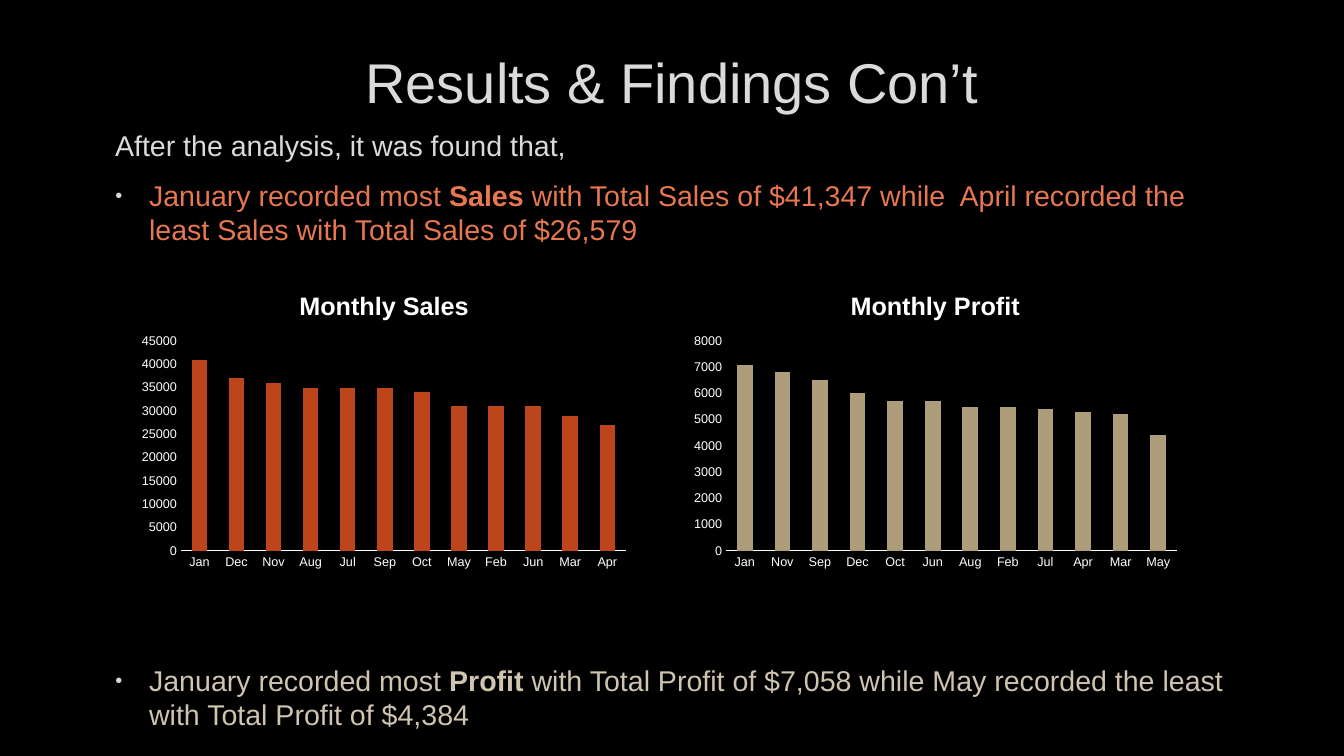
from lxml import etree
from pptx import Presentation
from pptx.chart.data import CategoryChartData
from pptx.dml.color import RGBColor
from pptx.enum import chart as ch, text
from pptx.oxml import ns
from pptx.util import Pt

BLACK = RGBColor(0x00, 0x00, 0x00)
WHITE = RGBColor(0xFF, 0xFF, 0xFF)
LIGHT_GREY = RGBColor(0xDA, 0xDA, 0xDA)
ORANGE = RGBColor(0xE6, 0x77, 0x50)
RUST = RGBColor(0xBC, 0x45, 0x1B)
SAND = RGBColor(0xCE, 0xC4, 0xB0)
TAN = RGBColor(0xAD, 0x9D, 0x7B)


def add_xml(parent, tag, **attributes):
    return etree.SubElement(parent, ns.qn(tag), attributes)


class SlideBuilder:
    font_name = "Arial"
    body_size = 20.4
    indent = 24

    def __init__(self, slide):
        self.slide = slide
        slide.background.fill.solid()
        slide.background.fill.fore_color.rgb = BLACK

    def style(self, font, size, color, bold=False):
        font.name, font.size, font.bold = self.font_name, Pt(size), bold
        font.color.rgb = color

    def place(self, shape, left, top, width, height, anchor):
        shape.left, shape.top = Pt(left), Pt(top)
        shape.width, shape.height = Pt(width), Pt(height)
        frame = shape.text_frame
        frame.auto_size = text.MSO_AUTO_SIZE.NONE
        frame.word_wrap = True
        frame.vertical_anchor = anchor
        return frame

    def title(self, wording, *box):
        frame = self.place(self.slide.shapes.title, *box, text.MSO_ANCHOR.MIDDLE)
        paragraph = frame.paragraphs[0]
        paragraph.text = wording
        paragraph.alignment = text.PP_ALIGN.CENTER
        self.style(paragraph.font, 40, LIGHT_GREY)

    def body(self, *box):
        return self.place(self.slide.placeholders[1], *box, text.MSO_ANCHOR.TOP)

    def format_paragraph(self, paragraph, space_before, left, hanging):
        paragraph.alignment = text.PP_ALIGN.LEFT
        paragraph.line_spacing = Pt(24.3)
        paragraph.space_before, paragraph.space_after = Pt(space_before), Pt(6)
        properties = paragraph._p.get_or_add_pPr()
        properties.set("marL", str(Pt(left)))
        properties.set("indent", str(-Pt(hanging)))
        return properties

    def intro(self, paragraph, wording):
        properties = self.format_paragraph(paragraph, 0, 3, 0)
        add_xml(properties, "a:buNone")
        paragraph.add_run().text = wording
        self.style(paragraph.font, self.body_size, LIGHT_GREY)

    def bullet(self, paragraph, parts, color, space_before):
        """Write a bullet whose second part is bold."""
        properties = self.format_paragraph(paragraph, space_before, 27.3, self.indent)
        bullet_color = add_xml(properties, "a:buClr")
        add_xml(bullet_color, "a:srgbClr", val=str(LIGHT_GREY))
        add_xml(properties, "a:buSzPct", val="70000")
        add_xml(properties, "a:buFont", typeface=self.font_name)
        add_xml(properties, "a:buChar", char="•")
        for index, wording in enumerate(parts):
            run = paragraph.add_run()
            run.text = wording
            self.style(run.font, self.body_size, color, bold=index == 1)

    def layout(self, element, **fractions):
        """Fix a chart part at fractions of the chart's size."""
        for old in element.findall(ns.qn("c:layout")):
            element.remove(old)
        layout = etree.Element(ns.qn("c:layout"))
        manual = add_xml(layout, "c:manualLayout")
        if "w" in fractions:
            add_xml(manual, "c:layoutTarget", val="inner")
        for side in "xy":
            add_xml(manual, f"c:{side}Mode", val="edge")
        for side, fraction in fractions.items():
            add_xml(manual, f"c:{side}", val=str(fraction))
        return layout

    def column_chart(self, heading, values, color, left, overlap, top_value, step, plot_x, plot_w):
        data = CategoryChartData()
        data.categories = list(values)
        data.add_series("Series 1", list(values.values()))
        chart = self.slide.shapes.add_chart(
            ch.XL_CHART_TYPE.COLUMN_CLUSTERED, Pt(left), Pt(195), Pt(360), Pt(216), data).chart
        self.style(chart.font, 10, WHITE)
        chart.has_legend = False

        # Heading
        chart.has_title = True
        paragraph = chart.chart_title.text_frame.paragraphs[0]
        paragraph.text = heading
        self.style(paragraph.font, 18, WHITE, bold=True)
        title = chart.chart_title._element
        title.find(ns.qn("c:tx")).addnext(self.layout(title, x=0.323, y=0.04))
        chart.chart_title.include_in_layout = False

        # Axes
        for axis in (chart.category_axis, chart.value_axis):
            axis.has_major_gridlines = False
            axis.major_tick_mark = axis.minor_tick_mark = ch.XL_TICK_MARK.NONE
            self.style(axis.tick_labels.font, 9, WHITE)
        line = chart.category_axis.format.line
        line.color.rgb, line.width = WHITE, Pt(0.75)
        chart.value_axis.format.line.fill.background()
        chart.value_axis.minimum_scale = 0
        chart.value_axis.maximum_scale = top_value
        chart.value_axis.major_unit = step

        # Columns
        plot = chart.plots[0]
        plot.gap_width, plot.overlap, plot.vary_by_categories = 140, overlap, False
        fill = plot.series[0].format.fill
        fill.solid()
        fill.fore_color.rgb = color
        area = plot._element.getparent()
        area.insert(0, self.layout(area, x=plot_x, y=0.225, w=plot_w, h=0.694))


def main():
    presentation = Presentation()
    presentation.slide_width, presentation.slide_height = Pt(960), Pt(540)
    builder = SlideBuilder(presentation.slides.add_slide(presentation.slide_layouts[1]))

    # Title and findings
    builder.title("Results & Findings Con’t", 72.3, 20, 815, 76)
    frame = builder.body(72, 88, 815, 422.5)
    builder.intro(frame.paragraphs[0], "After the analysis, it was found that,")
    builder.bullet(frame.add_paragraph(), (
        "January recorded most ", "Sales ",
        "with Total Sales of $41,347 while  April recorded the least Sales "
        "with Total Sales of $26,579"), ORANGE, 5.5)
    builder.bullet(frame.add_paragraph(), (
        "January recorded most ", "Profit ",
        "with Total Profit of $7,058 while May recorded the least "
        "with Total Profit of $4,384"), SAND, 292)

    # Monthly charts
    sales = {"Jan": 41000, "Dec": 37000, "Nov": 36000, "Aug": 35000, "Jul": 35000, "Sep": 35000,
             "Oct": 34000, "May": 31000, "Feb": 31000, "Jun": 31000, "Mar": 29000, "Apr": 27000}
    profit = {"Jan": 7100, "Nov": 6800, "Sep": 6500, "Dec": 6000, "Oct": 5700, "Jun": 5700,
              "Aug": 5500, "Feb": 5500, "Jul": 5400, "Apr": 5300, "Mar": 5200, "May": 4400}
    builder.column_chart("Monthly Profit", profit, TAN, 488, -100, 8000, 1000, 0.085, 0.895)
    builder.column_chart("Monthly Sales", sales, RUST, 94.3, -27, 45000, 5000, 0.097, 0.883)

    presentation.save("out.pptx")


if __name__ == "__main__":
    main()
